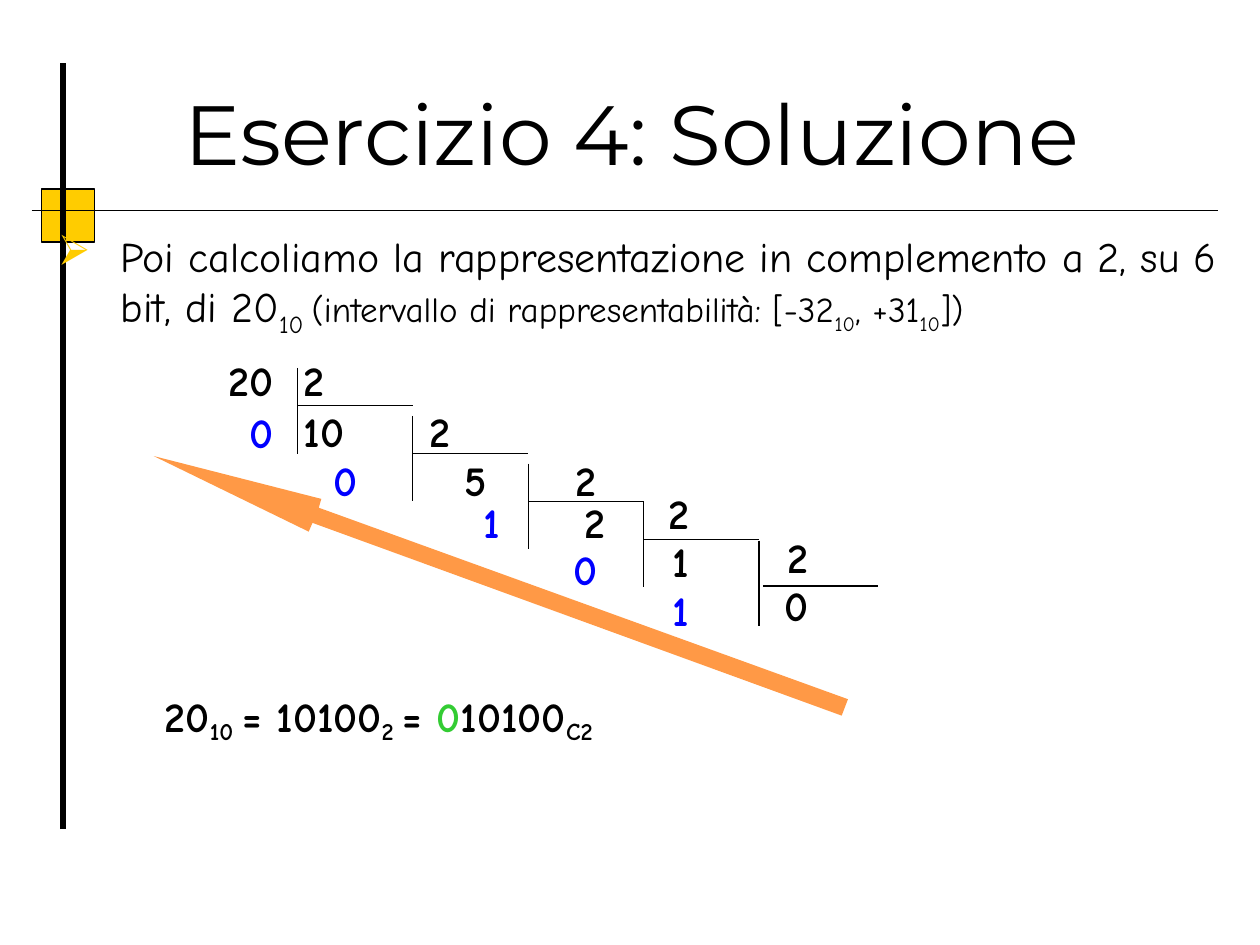
from lxml import etree
from pptx import Presentation
from pptx.dml.color import RGBColor
from pptx.enum import shapes, text
from pptx.oxml.ns import qn
from pptx.util import Inches, Pt

BLACK = RGBColor(0x00, 0x00, 0x00)
YELLOW = RGBColor(0xFF, 0xCC, 0x00)
BLUE = RGBColor(0x00, 0x00, 0xFF)
GREEN = RGBColor(0x33, 0xCC, 0x33)
ORANGE = RGBColor(0xFF, 0x99, 0x46)
LEFT, CENTER, RIGHT = text.PP_ALIGN.LEFT, text.PP_ALIGN.CENTER, text.PP_ALIGN.RIGHT

# A run is (text, format); a paragraph is (runs, format).
TITLE = [([("Esercizio 4: Soluzione", {})], {})]
SMALL = {"size": 20}
SMALL_SUB = {"size": 20, "baseline": -25}
BODY = [([
    ("Poi calcoliamo la rappresentazione in complemento a 2, su 6 bit, di 20", {}),
    ("10 ", {"baseline": -25}),
    ("(intervallo di rappresentabilità: [-32", SMALL),
    ("10", SMALL_SUB),
    (", +31", SMALL),
    ("10", SMALL_SUB),
    ("])", SMALL),
], {"margin": 0.94, "indent": -0.5, "bullet": "➢"})]

REMAINDER = {"color": BLUE}
FIXED = {"before": 1.2, "spacing": 26.4}
DIVIDEND = [([("20", {})], {}), ([("0", REMAINDER)], {"before": 1.2})]
# Rows of the first three divisions: top, then (digits, left, format).
LADDER = [
    (2.81, [("2", 2.41, {})]),
    (3.22, [("10", 2.41, {}), ("2", 3.41, {})]),
    (3.61, [("0", 2.65, REMAINDER), ("5", 3.69, {}), ("2", 4.57, {})]),
    (3.94, [("1", 3.84, REMAINDER), ("2", 4.64, {})]),
    (4.31, [("0", 4.55, REMAINDER)]),
]
FOURTH_DIVISION = [([("2", {})], {}), ([("1", {})], FIXED), ([("1", REMAINDER)], FIXED)]
LAST_DIVISION = [([("2", {})], {}), ([("0", {})], FIXED)]
SUBSCRIPT = {"baseline": -20}
RESULT = [([
    ("20", {}), ("10 ", SUBSCRIPT), ("= 10100", {}), ("2 ", SUBSCRIPT),
    ("= ", {}), ("0", {"color": GREEN}), ("10100", {}), ("C2", SUBSCRIPT),
], {})]

# Each division: top of the vertical stroke, height of the bar, gap before the bar.
DIVISIONS = [(2.92, 3.22, 0), (3.3, 3.6, 0), (3.68, 3.98, 0), (3.98, 4.28, 0), (4.29, 4.65, 0.03)]
FIRST_X, STEP, STROKE = 2.36, 0.916, 0.68
ARROW = [(1.22, 3.62), (2.55, 3.96), (2.53, 4.03), (6.73, 5.55),
         (6.68, 5.68), (2.48, 4.15), (2.45, 4.22)]


def format_paragraph(paragraph, margin=0.01, indent=0, bullet=None, before=0, spacing=None):
    properties = paragraph._p.get_or_add_pPr()
    properties.set("marL", str(Inches(margin)))
    properties.set("indent", str(Inches(indent)))
    if bullet:
        color = etree.SubElement(properties, qn("a:buClr"))
        etree.SubElement(color, qn("a:srgbClr"), val=str(YELLOW))
        etree.SubElement(properties, qn("a:buChar"), char=bullet)
    if before:
        paragraph.space_before = Pt(before)
    if spacing:
        paragraph.line_spacing = Pt(spacing)


def add_text(slide, box, paragraphs, size=24, font="Comic Neue", bold=True, align=LEFT,
             anchor=text.MSO_ANCHOR.TOP, insets=(0, 0)):
    frame = slide.shapes.add_textbox(*map(Inches, box)).text_frame
    frame.word_wrap = True
    frame.vertical_anchor = anchor
    frame.margin_left = frame.margin_right = Inches(insets[0])
    frame.margin_top = frame.margin_bottom = Inches(insets[1])
    for index, (runs, paragraph_format) in enumerate(paragraphs):
        paragraph = frame.add_paragraph() if index else frame.paragraphs[0]
        format_paragraph(paragraph, **paragraph_format)
        paragraph.alignment = align
        for content, run_format in runs:
            run = paragraph.add_run()
            run.text = content
            run.font.name = font
            run.font.bold = bold
            run.font.size = Pt(run_format.get("size", size))
            run.font.color.rgb = run_format.get("color", BLACK)
            if "baseline" in run_format:
                run.font._element.set("baseline", str(run_format["baseline"] * 1000))


def add_line(slide, x1, y1, x2, y2, width=0.75):
    line = slide.shapes.add_connector(
        shapes.MSO_CONNECTOR.STRAIGHT, *map(Inches, (x1, y1, x2, y2)))
    line.line.color.rgb = BLACK
    line.line.width = Pt(width)
    etree.SubElement(line._element.spPr, qn("a:effectLst"))


def add_frame_marks(slide):
    square = slide.shapes.add_shape(
        shapes.MSO_SHAPE.RECTANGLE, *map(Inches, (0.33, 1.5, 0.42, 0.42)))
    square.shadow.inherit = False
    square.fill.solid()
    square.fill.fore_color.rgb = YELLOW
    square.line.color.rgb = BLACK
    square.line.width = Pt(0.75)
    add_line(slide, 0.5, 6.58, 0.5, 0.5, width=3)
    add_line(slide, 0.25, 1.67, 9.67, 1.67)


def add_arrow(slide):
    points = [(Inches(x), Inches(y)) for x, y in ARROW]
    builder = slide.shapes.build_freeform(*points[0])
    builder.add_line_segments(points[1:], close=True)
    arrow = builder.convert_to_shape()
    arrow.shadow.inherit = False
    arrow.fill.solid()
    arrow.fill.fore_color.rgb = ORANGE
    arrow.line.fill.background()


def main():
    presentation = Presentation()
    presentation.slide_width, presentation.slide_height = Inches(10), Inches(7.5)
    slide = presentation.slides.add_slide(presentation.slide_layouts[6])

    add_frame_marks(slide)
    add_text(slide, (0.44, 0.25, 9.14, 1.25), TITLE, size=48, font="Montserrat", bold=False,
             align=CENTER, anchor=text.MSO_ANCHOR.BOTTOM, insets=(0.1, 0.05))
    add_text(slide, (-0.08, 1.78, 10.12, 4.65), BODY, bold=False, insets=(0.1, 0.05))

    for index, (top, bar_y, gap) in enumerate(DIVISIONS):
        x = FIRST_X + index * STEP
        add_line(slide, x, top, x, top + STROKE)
        add_line(slide, x + gap, bar_y, x + gap + STEP, bar_y)

    add_text(slide, (1.51, 2.81, 0.66, 0.82), DIVIDEND, align=RIGHT)
    for top, entries in LADDER:
        for digits, left, run_format in entries:
            add_text(slide, (left, top, 0.45, 0.4), [([(digits, run_format)], {"margin": 0})])
    add_text(slide, (5.24, 3.87, 0.23, 1.53), FOURTH_DIVISION, align=RIGHT)
    add_arrow(slide)
    add_text(slide, (6.19, 4.22, 0.23, 1.53), LAST_DIVISION, align=RIGHT)
    add_text(slide, (1.3, 5.48, 8.74, 0.44), RESULT)
    presentation.save("out.pptx")


if __name__ == "__main__":
    main()
